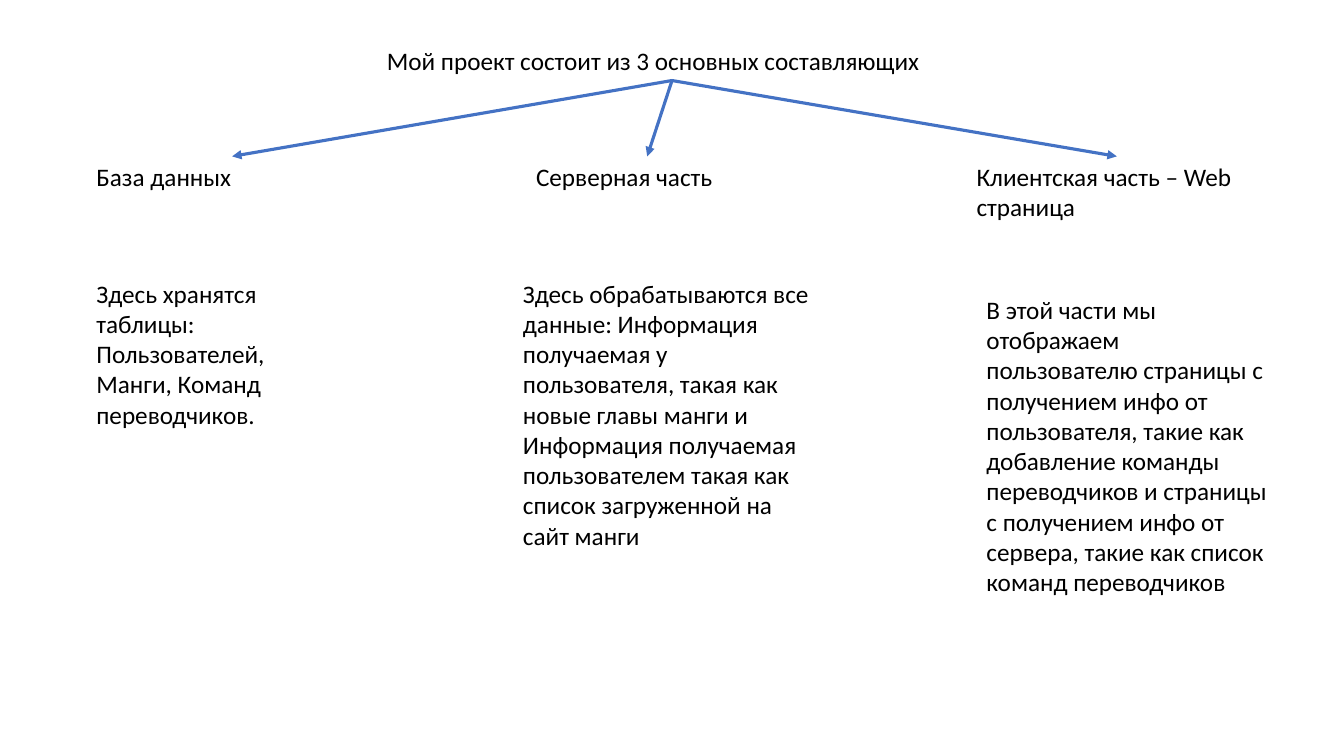
from dataclasses import dataclass

from lxml.etree import SubElement
from pptx import Presentation
from pptx.dml.color import RGBColor
from pptx.enum.shapes import MSO_CONNECTOR
from pptx.enum.text import MSO_AUTO_SIZE
from pptx.oxml.ns import qn
from pptx.shapes.autoshape import Shape
from pptx.shapes.connector import Connector
from pptx.slide import Slide
from pptx.util import Cm, Pt


@dataclass(frozen=True)
class Theme:
    """Colours, font and sizes of the slide."""
    font: str = "Calibri"
    size: float = 18
    text: RGBColor = RGBColor(0x00, 0x00, 0x00)
    arrow: RGBColor = RGBColor(0x44, 0x72, 0xC4)
    arrow_width: float = 2.25


@dataclass(frozen=True)
class Box:
    """A text and its place in centimetres."""
    text: str
    left: float
    top: float
    width: float
    height: float

    @property
    def center(self) -> float:
        """Horizontal middle of the box."""
        return self.left + self.width / 2


@dataclass(frozen=True)
class Component:
    """One part of the project: its heading and its description."""
    heading: Box
    description: Box


THEME = Theme()
SLIDE_W, SLIDE_H = 33.87, 19.05
LINE_H = 1.02
APEX_Y = 2.03
HEADING_Y = 3.94
DESCRIPTION_Y = 6.88

TITLE = Box("Мой проект состоит из 3 основных составляющих", 9.5, LINE_H, 14.86, LINE_H)
COMPONENTS = [
    Component(
        Box("База данных", 2.18, HEADING_Y, 7.34, LINE_H),
        Box("Здесь хранятся таблицы: Пользователей, Манги, Команд переводчиков.",
            2.18, DESCRIPTION_Y, 5.41, 4.11),
    ),
    Component(
        Box("Серверная часть", 13.26, HEADING_Y, 6.1, LINE_H),
        Box("Здесь обрабатываются все данные: Информация получаемая у пользователя, "
            "такая как новые главы манги и Информация получаемая пользователем "
            "такая как список загруженной на сайт манги",
            12.93, DESCRIPTION_Y, 8, 7.19),
    ),
    Component(
        Box("Клиентская часть – Web страница", 24.36, HEADING_Y, 7.57, 1.8),
        Box("В этой части мы отображаем пользователю страницы с получением инфо от "
            "пользователя, такие как добавление команды переводчиков и страницы "
            "с получением инфо от сервера, такие как список команд переводчиков",
            24.61, 7.29, 7.57, 8.71),
    ),
]


def add_text(s: Slide, box: Box, *, size: float = THEME.size,
             color: RGBColor = THEME.text, font: str = THEME.font) -> Shape:
    """Add a wrapped text box that grows with its text."""
    sp = s.shapes.add_textbox(Cm(box.left), Cm(box.top), Cm(box.width), Cm(box.height))
    tf = sp.text_frame
    tf.word_wrap = True
    tf.auto_size = MSO_AUTO_SIZE.SHAPE_TO_FIT_TEXT
    p = tf.paragraphs[0]
    r = p.add_run()
    r.text = box.text
    r.font.name = font
    r.font.size = Pt(size)
    r.font.color.rgb = color
    return sp


def add_arrow(s: Slide, x1: float, y1: float, x2: float, y2: float) -> Connector:
    """Add a straight arrow that points at its second end."""
    sp = s.shapes.add_connector(MSO_CONNECTOR.STRAIGHT, Cm(x1), Cm(y1), Cm(x2), Cm(y2))
    sp.line.color.rgb = THEME.arrow
    sp.line.width = Pt(THEME.arrow_width)
    props = sp._element.spPr
    SubElement(props.find(qn("a:ln")), qn("a:tailEnd"), type="triangle")
    SubElement(props, qn("a:effectLst"))
    return sp


def main() -> None:
    """Build the slide and save it."""
    prs = Presentation()
    prs.slide_width, prs.slide_height = Cm(SLIDE_W), Cm(SLIDE_H)
    s = prs.slides.add_slide(prs.slide_layouts[6])
    add_text(s, TITLE)
    for part in COMPONENTS:
        add_text(s, part.heading)
        add_text(s, part.description)
        add_arrow(s, SLIDE_W / 2, APEX_Y, part.heading.center, HEADING_Y)
    prs.save("out.pptx")


main()
